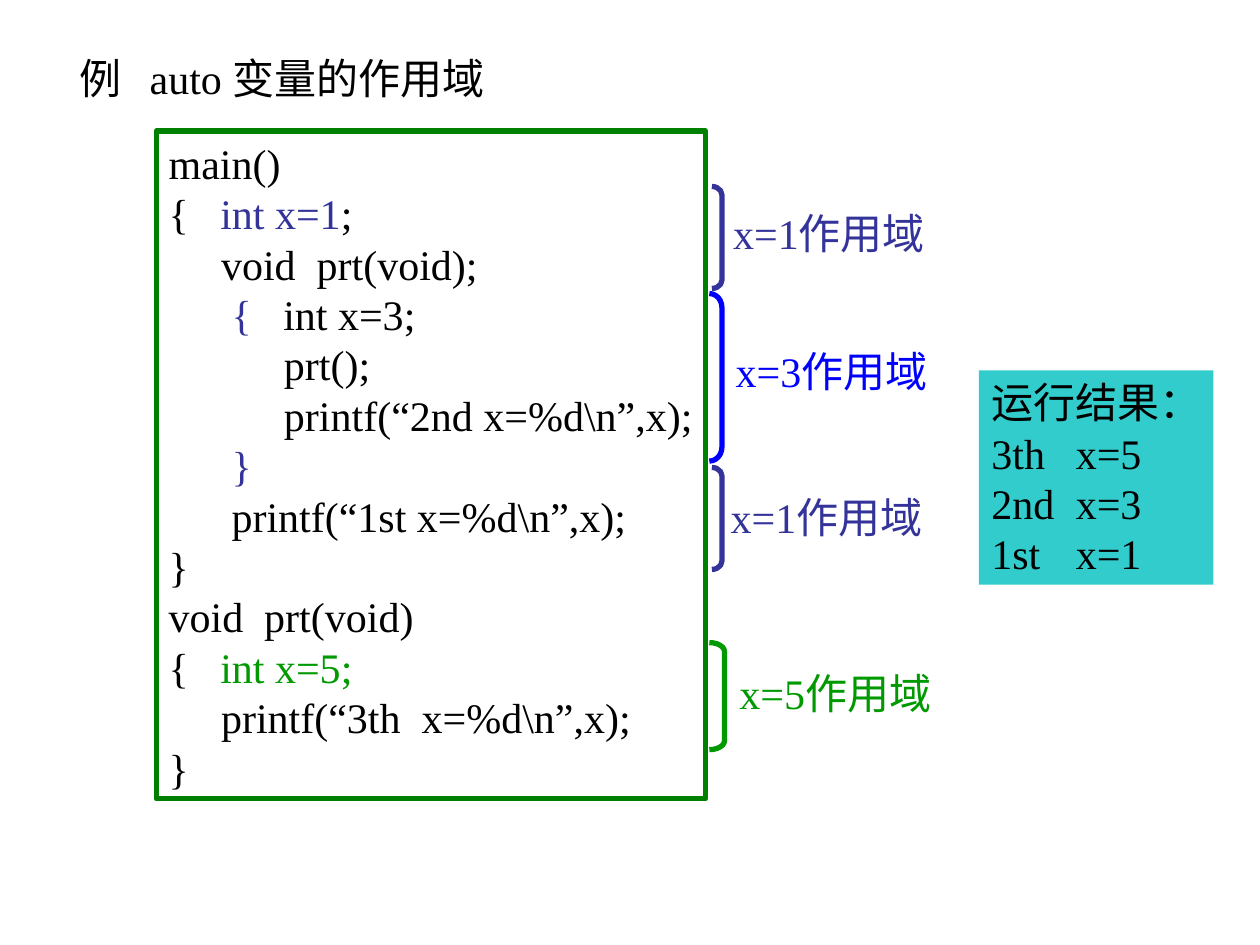
from lxml import etree
from pptx import Presentation, util as u
from pptx.dml.color import RGBColor
from pptx.enum import shapes, text
from pptx.oxml.ns import qn

BLACK = RGBColor(0x00, 0x00, 0x00)
WHITE = RGBColor(0xFF, 0xFF, 0xFF)
INDIGO = RGBColor(0x33, 0x33, 0x99)
BLUE = RGBColor(0x00, 0x00, 0xFF)
GREEN = RGBColor(0x00, 0x99, 0x00)
DARK_GREEN = RGBColor(0x00, 0x80, 0x00)
TEAL = RGBColor(0x33, 0xCC, 0xCC)

deck = Presentation()
deck.slide_width, deck.slide_height = u.Inches(10), u.Inches(7.5)
slide = deck.slides.add_slide(deck.slide_layouts[6])

# Grid of 100 columns by 75 rows
COL, ROW = deck.slide_width / 100, deck.slide_height / 75


def cells(left, top, width, height):
    return int(left * COL), int(top * ROW), int(width * COL), int(height * ROW)


def write(box, lines, align=text.PP_ALIGN.LEFT, anchor=text.MSO_ANCHOR.TOP, tab=None):
    """Fill a box with lines, each a list of (words, colour) pieces."""
    frame = box.text_frame
    frame.word_wrap = False
    frame.vertical_anchor = anchor
    for number, pieces in enumerate(lines):
        line = frame.add_paragraph() if number else frame.paragraphs[0]
        line.alignment = align
        if tab:
            stops = etree.SubElement(line._p.get_or_add_pPr(), qn("a:tabLst"))
            etree.SubElement(stops, qn("a:tab"), pos=str(int(tab * COL)), algn="l")
        line.font.name, line.font.size = "Times New Roman", u.Pt(24)
        for words, colour in pieces:
            run = line.add_run()
            run.text = words
            run.font.color.rgb = colour


# Title
title = slide.shapes.add_textbox(*cells(5.3, 3.7, 35, 5))
write(title, [[("例\tauto 变量的作用域", BLACK)]], tab=5.6)

# Program listing
program = [
    [("main()", BLACK)],
    [("{   ", BLACK), ("int x=1", INDIGO), (";", BLACK)],
    [("     void  prt(void);", BLACK)],
    [("      {   ", INDIGO), ("int x=3;", BLACK)],
    [("           prt();", BLACK)],
    [("           printf(“2nd x=%d\\n”,x);", BLACK)],
    [("      }", INDIGO)],
    [("      printf(“1st x=%d\\n”,x);", BLACK)],
    [("}", BLACK)],
    [("void  prt(void)", BLACK)],
    [("{   ", BLACK), ("int x=5;", GREEN)],
    [("     printf(“3th  x=%d\\n”,x);", BLACK)],
    [("}", BLACK)],
]
listing = slide.shapes.add_shape(shapes.MSO_SHAPE.RECTANGLE, *cells(12.4, 10.4, 43.6, 53))
listing.shadow.inherit = False
listing.fill.solid()
listing.fill.fore_color.rgb = WHITE
listing.line.color.rgb = DARK_GREEN
listing.line.width = u.Pt(3)
write(listing, program)

# Program output
output = slide.shapes.add_shape(shapes.MSO_SHAPE.RECTANGLE, *cells(77.7, 29.4, 18.6, 17))
output.shadow.inherit = False
output.fill.solid()
output.fill.fore_color.rgb = TEAL
output.line.fill.background()
results = ["运行结果：", "3th\tx=5", "2nd\tx=3", "1st\tx=1"]
write(output, [[(result, BLACK)] for result in results], tab=6.7)

# Scopes: value, colour, bracket cells, label left and top
scopes = [
    (1, INDIGO, (56.5, 14.8, 0.8, 8.1), 56.8, 16),
    (1, INDIGO, (56.5, 37.1, 0.8, 8.1), 56.6, 38.5),
    (3, BLUE, (56.3, 23.3, 1, 13.3), 57, 26.9),
    (5, GREEN, (56.3, 51, 1.2, 8.5), 57.3, 52.5),
]
for value, colour, extent, label_left, label_top in scopes:
    bracket = slide.shapes.add_shape(shapes.MSO_SHAPE.RIGHT_BRACKET, *cells(*extent))
    bracket.shadow.inherit = False
    bracket.adjustments[0] = extent[3] / 12 / extent[2]  # curve is 1/12 of the height
    bracket.fill.background()
    bracket.line.color.rgb = colour
    bracket.line.width = u.Pt(3)
    label = slide.shapes.add_textbox(*cells(label_left, label_top, 18, 5))
    write(label, [[(f"x={value}作用域", colour)]],
          text.PP_ALIGN.CENTER, text.MSO_ANCHOR.MIDDLE)

deck.save("out.pptx")
